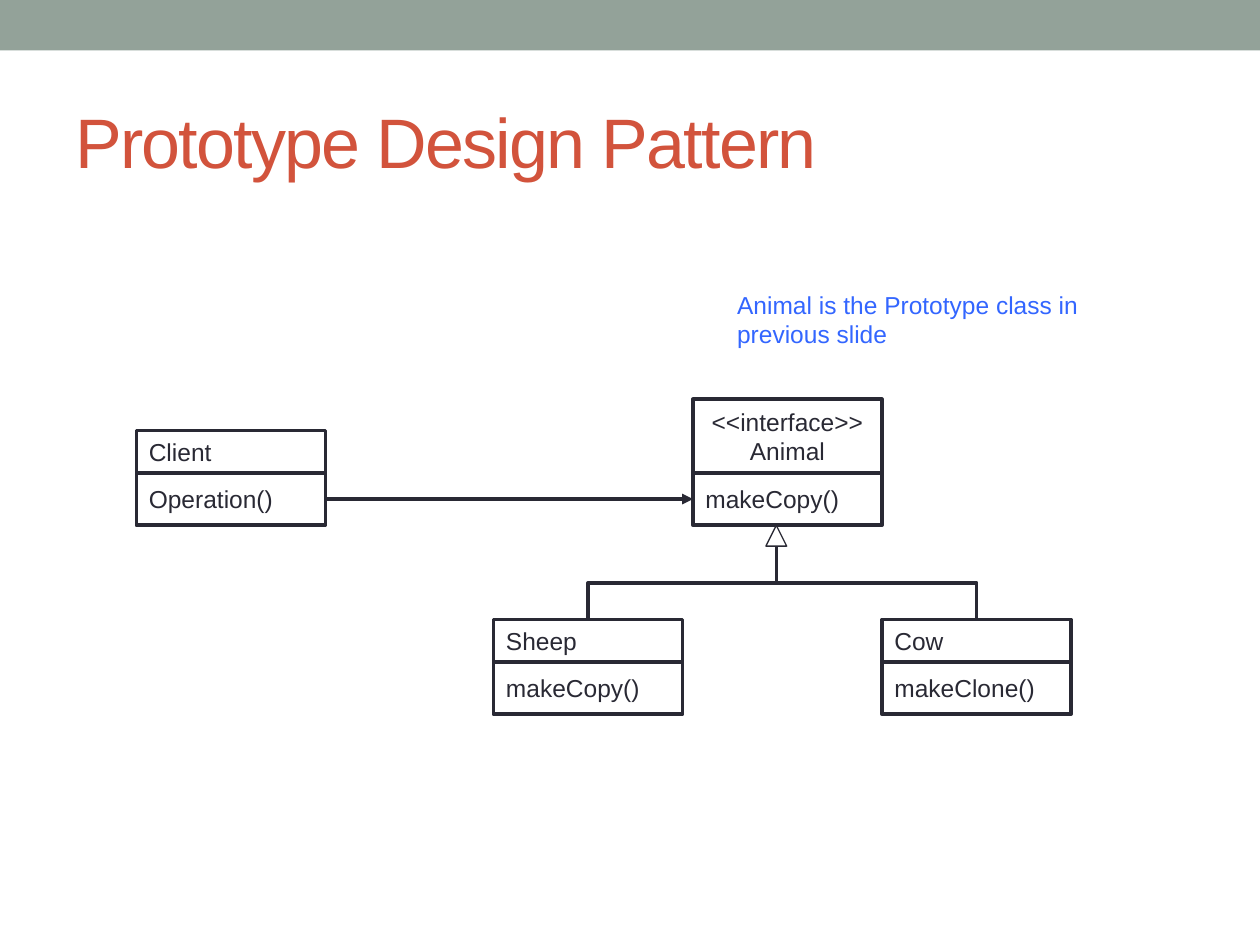
import pptx
import pptx.util
import pptx.dml.color
import pptx.enum.shapes
import pptx.enum.text
import pptx.oxml.ns
import lxml.etree

Cm = pptx.util.Cm
Pt = pptx.util.Pt
Kind = pptx.enum.shapes.MSO_SHAPE
Align = pptx.enum.text.PP_ALIGN
Anchor = pptx.enum.text.MSO_ANCHOR

COLORS = {
    "band": "93A299",
    "title": "D2533C",
    "ink": "292934",
    "paper": "FFFFFF",
    "note": "3366FF",
}
TITLE = "Prototype Design Pattern"
NOTE = "Animal is the Prototype class in previous slide"
CLASSES = [
    ("Animal", "<<interface>> Animal", "makeCopy()", 13.97, 9.53, 1.48, Align.CENTER),
    ("Sheep", "Sheep", "makeCopy()", 9.95, 13.34, 0.85, Align.LEFT),
    ("Cow", "Cow", "makeClone()", 17.78, 13.34, 0.85, Align.LEFT),
    ("Client", "Client", "Operation()", 2.75, 9.53, 0.85, Align.LEFT),
]
SUBCLASSES = ["Sheep", "Cow"]
CLASS_WIDTH = 3.81
METHOD_HEIGHT = 1.06
TRIANGLE_SIZE = 0.42
SPINE_X = 15.65
LINE_WIDTH = 2.08


def rgb(name):
    return pptx.dml.color.RGBColor.from_string(COLORS[name])


def add_child(parent, tag, **attributes):
    return lxml.etree.SubElement(parent, pptx.oxml.ns.qn(tag), **attributes)


def write(shape, text, size, color, align=Align.LEFT, anchor=Anchor.MIDDLE):
    frame = shape.text_frame
    frame.word_wrap = True
    frame.vertical_anchor = anchor
    paragraph = frame.paragraphs[0]
    paragraph.text = text
    paragraph.alignment = align
    paragraph.font.name = "Arial"
    paragraph.font.size = Pt(size)
    paragraph.font.color.rgb = rgb(color)
    return paragraph


def add_box(slide, kind, left, top, width, height, fill, line_width=None):
    shape = slide.shapes.add_shape(kind, Cm(left), Cm(top), Cm(width), Cm(height))
    shape.shadow.inherit = False
    shape.fill.solid()
    shape.fill.fore_color.rgb = rgb(fill)
    if line_width is None:
        shape.line.fill.background()
    else:
        shape.line.color.rgb = rgb("ink")
        shape.line.width = Pt(line_width)
    return shape


def add_text(slide, text, left, top, width, height, size, color, anchor):
    box = slide.shapes.add_textbox(Cm(left), Cm(top), Cm(width), Cm(height))
    return write(box, text, size, color, anchor=anchor)


def add_line(slide, kind, start_x, start_y, end_x, end_y):
    connector = slide.shapes.add_connector(
        kind, Cm(start_x), Cm(start_y), Cm(end_x), Cm(end_y))
    connector.line.color.rgb = rgb("ink")
    connector.line.width = Pt(LINE_WIDTH)
    add_child(connector._element.spPr, "a:effectLst")
    return connector


def add_branch(slide, start_x, start_y, end_x, end_y):
    drop, span = end_y - start_y, abs(end_x - start_x)
    left = (start_x + end_x - drop) / 2
    top = (start_y + end_y - span) / 2
    right, bottom = left + drop, top + span
    goes_right = end_x > start_x
    if goes_right:
        left, right = right, left
    connector = add_line(slide, pptx.enum.shapes.MSO_CONNECTOR.ELBOW, left, top, right, bottom)
    degrees = 270 if goes_right else 90
    connector._element.spPr.find(pptx.oxml.ns.qn("a:xfrm")).set("rot", str(degrees * 60000))


def main():
    presentation = pptx.Presentation()
    presentation.slide_width, presentation.slide_height = Cm(25.4), Cm(19.05)
    slide = presentation.slides.add_slide(presentation.slide_layouts[6])

    add_box(slide, Kind.RECTANGLE, 0, 0, 25.4, 1.02, "band")
    title = add_text(slide, TITLE, 1.27, 1.47, 22.86, 2.74, 40, "title", Anchor.MIDDLE)
    title.runs[0].font._element.set("spc", "-100")

    methods = {}
    class_tops = {}
    for name, heading, method, left, split, heading_height, align in CLASSES:
        class_tops[name] = split - heading_height
        header = add_box(slide, Kind.RECTANGLE, left, class_tops[name],
                         CLASS_WIDTH, heading_height, "paper", LINE_WIDTH)
        write(header, heading, 14, "ink", align)
        methods[name] = add_box(slide, Kind.RECTANGLE, left, split,
                                CLASS_WIDTH, METHOD_HEIGHT, "paper", LINE_WIDTH)
        write(methods[name], method, 14, "ink")

    arrow = add_line(slide, pptx.enum.shapes.MSO_CONNECTOR.STRAIGHT, 0, 0, 1, 1)
    arrow.begin_connect(methods["Client"], 3)
    arrow.end_connect(methods["Animal"], 1)
    add_child(arrow.line._get_or_add_ln(), "a:tailEnd", type="triangle")

    animal = methods["Animal"]
    triangle_top = (animal.top + animal.height) / Cm(1)
    add_box(slide, Kind.ISOSCELES_TRIANGLE, SPINE_X - TRIANGLE_SIZE / 2, triangle_top,
            TRIANGLE_SIZE, TRIANGLE_SIZE, "paper", 0.75)
    for name in SUBCLASSES:
        center = methods[name].left / Cm(1) + CLASS_WIDTH / 2
        add_branch(slide, SPINE_X, triangle_top + TRIANGLE_SIZE, center, class_tops[name])

    add_text(slide, NOTE, 14.61, 5.72, 8.89, 1.45, 14, "note", Anchor.TOP)
    presentation.save("out.pptx")


if __name__ == "__main__":
    main()
